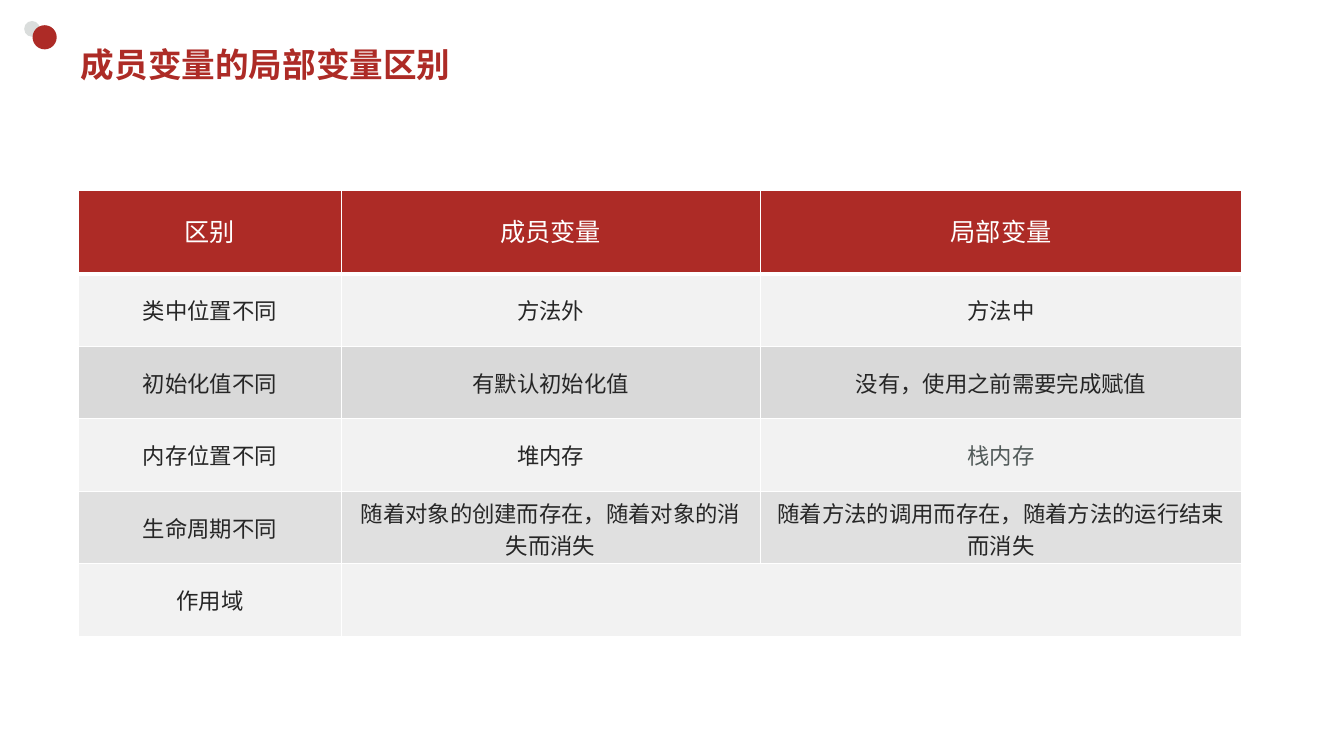
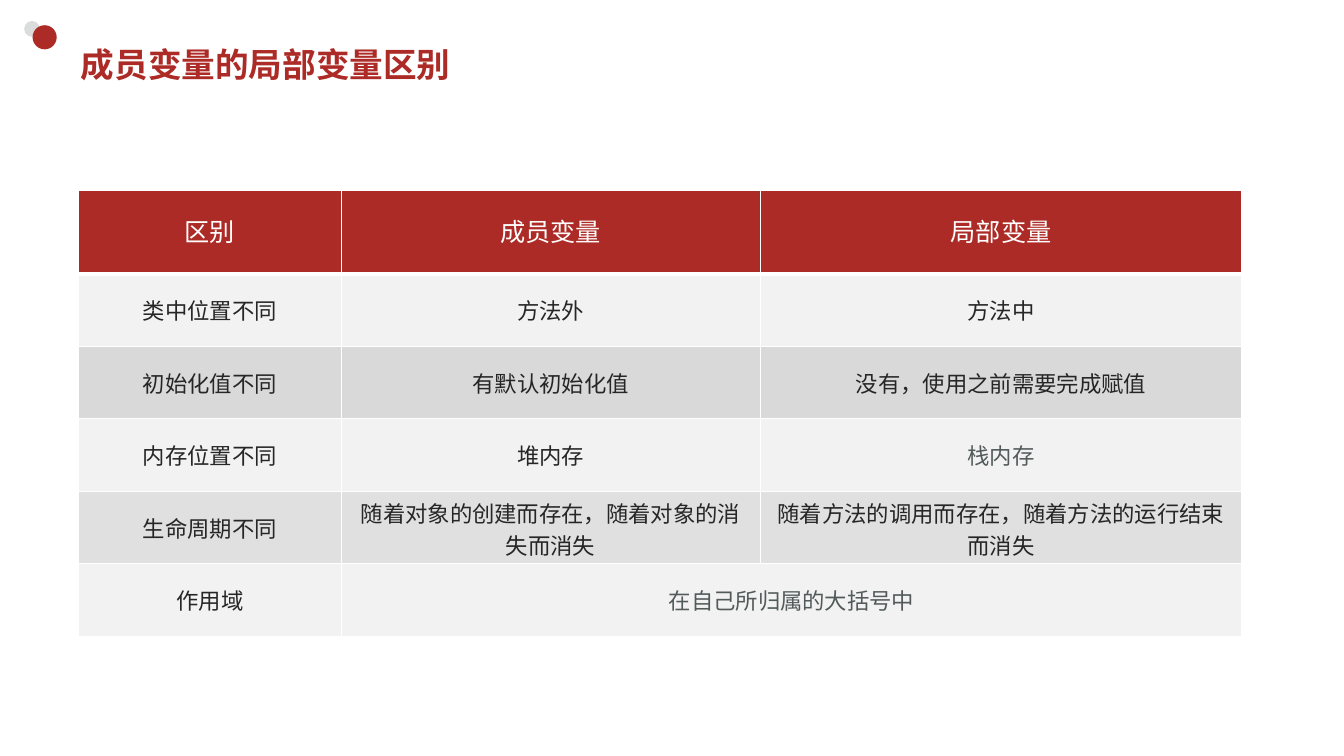
from dataclasses import dataclass

from lxml.etree import SubElement
from pptx import Presentation
from pptx.dml.color import RGBColor
from pptx.enum.lang import MSO_LANGUAGE_ID
from pptx.enum.shapes import MSO_SHAPE
from pptx.enum.text import MSO_ANCHOR, PP_ALIGN
from pptx.oxml import parse_xml
from pptx.oxml.ns import nsdecls, qn
from pptx.util import Pt

PX = 9525


@dataclass(frozen=True)
class Theme:
    """Hold the colours, fonts and type sizes of the deck."""
    red: str = "AD2B26"
    dot: str = "DADDDC"
    white: str = "FFFFFF"
    pale: str = "F2F2F2"
    grey: str = "D9D9D9"
    ink: str = "262626"
    soft: str = "525B5A"
    title_font: str = "Courier New"
    body_font: str = "Lato"
    title_size: int = 24
    head_size: int = 18
    body_size: int = 16


THEME = Theme()
TITLE = "成员变量的局部变量区别"
HEAD = ("区别", "成员变量", "局部变量")
BODY = (
    ("类中位置不同", "方法外", "方法中"),
    ("初始化值不同", "有默认初始化值", "没有，使用之前需要完成赋值"),
    ("内存位置不同", "堆内存", "栈内存"),
    ("生命周期不同", "随着对象的创建而存在，随着对象的消失而消失",
     "随着方法的调用而存在，随着方法的运行结束而消失"),
)
SCOPE = "作用域"
ANSWER = "在自己所归属的大括号中"
SOFT = ("栈内存", ANSWER)
WIDTHS = (250, 399, 459)
HEIGHTS = (80, 69, 69, 69, 69, 69)
FILLS = (THEME.red, THEME.pale, THEME.grey, THEME.pale, THEME.grey, THEME.pale)
FADED = 4


def emu(*sizes):
    """Turn px lengths into EMU."""
    return [size * PX for size in sizes]


def style(para, face, size, color, bold=False):
    """Set the font of a whole paragraph."""
    font = para.font
    font.name, font.size, font.bold = face, Pt(size), bold
    font.color.rgb = RGBColor.from_string(color)
    font.language_id = MSO_LANGUAGE_ID.SIMPLIFIED_CHINESE


def add_dots(slide, left, top):
    """Draw the two corner dots from a top left point."""
    for shift, drop, size, color in ((0, 0, 15, THEME.dot), (8, 4, 23, THEME.red)):
        dot = slide.shapes.add_shape(
            MSO_SHAPE.OVAL, *emu(left + shift, top + drop, size, size))
        dot.shadow.inherit = False
        dot.fill.solid()
        dot.fill.fore_color.rgb = RGBColor.from_string(color)
        dot.line.fill.background()


def add_title(slide, left, top, width, height):
    """Place the slide title in its box."""
    frame = slide.shapes.add_textbox(*emu(left, top, width, height)).text_frame
    frame.word_wrap = True
    frame.vertical_anchor = MSO_ANCHOR.MIDDLE
    frame.margin_left = 17 * PX
    para = frame.paragraphs[0]
    para.text = TITLE
    style(para, THEME.title_font, THEME.title_size, THEME.red, True)


def add_rules(cell, row):
    """Draw white cell borders, thick below the header row."""
    thick = {"T": row == 1, "B": row == 0}
    for spot, side in enumerate("LRTB"):
        width = Pt(3 if thick.get(side) else 1)
        cell._tc.get_or_add_tcPr().insert(spot, parse_xml(
            f'<a:ln{side} {nsdecls("a")} w="{width}"><a:solidFill>'
            f'<a:srgbClr val="{THEME.white}"/></a:solidFill></a:ln{side}>'))


def fill_cell(cell, row, text):
    """Colour a table cell and write its text."""
    cell.vertical_anchor = MSO_ANCHOR.MIDDLE
    cell.fill.solid()
    cell.fill.fore_color.rgb = RGBColor.from_string(FILLS[row])
    if row == FADED:
        color = cell._tc.tcPr.find(f".//{qn('a:srgbClr')}")
        SubElement(color, qn("a:alpha"), val="80000")
    add_rules(cell, row)
    if not text:
        return
    para = cell.text_frame.paragraphs[0]
    para.text = text
    para.alignment = PP_ALIGN.CENTER
    if row == 0:
        para.line_spacing = Pt(24)
        style(para, THEME.body_font, THEME.head_size, THEME.white)
    else:
        ink = THEME.soft if text in SOFT else THEME.ink
        style(para, THEME.body_font, THEME.body_size, ink)


def add_grid(slide, left, top, answer):
    """Build the comparison table from a top left point."""
    rows = (HEAD, *BODY, (SCOPE, answer, ""))
    table = slide.shapes.add_table(
        len(rows), len(HEAD),
        *emu(left, top, sum(WIDTHS), sum(HEIGHTS))).table
    table.first_row = table.horz_banding = False
    for col, width in zip(table.columns, WIDTHS):
        col.width = width * PX
    for line, height in zip(table.rows, HEIGHTS):
        line.height = height * PX
    for row, texts in enumerate(rows):
        for col, text in enumerate(texts):
            fill_cell(table.cell(row, col), row, text)
    last = len(rows) - 1
    table.cell(last, 1).merge(table.cell(last, 2))


def add_slide(deck, answer):
    """Add one comparison slide with its scope answer."""
    slide = deck.slides.add_slide(deck.slide_layouts[6])
    add_dots(slide, 23, 20)
    add_title(slide, 60, 36, 1127, 50)
    add_grid(slide, 75, 181, answer)


def main():
    """Build and save the deck."""
    deck = Presentation()
    deck.slide_width, deck.slide_height = emu(1280, 720)
    for answer in ("", ANSWER):
        add_slide(deck, answer)
    deck.save("out.pptx")


if __name__ == "__main__":
    main()
